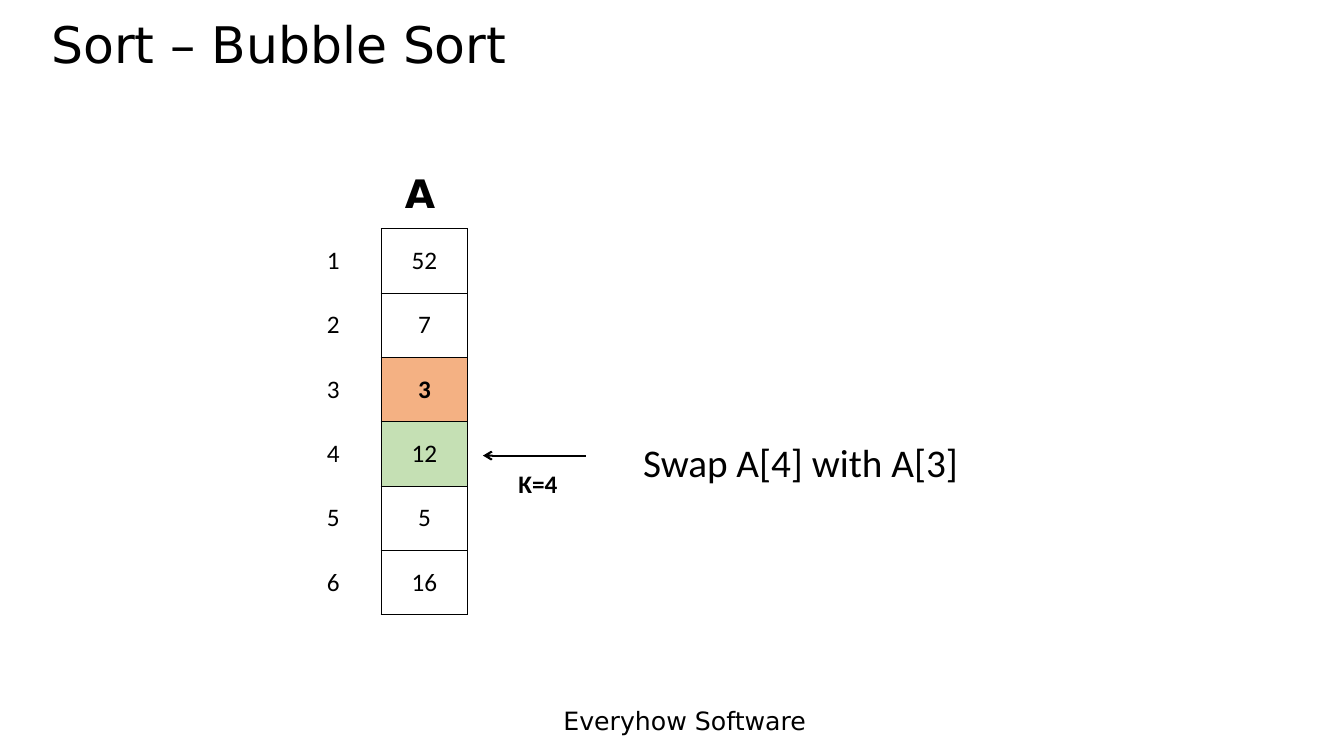
from dataclasses import dataclass

from lxml.etree import SubElement
from pptx import Presentation
from pptx.dml.color import RGBColor
from pptx.enum.shapes import MSO_CONNECTOR as Link
from pptx.enum.text import MSO_ANCHOR as Anchor, PP_ALIGN as Align
from pptx.oxml.ns import qn
from pptx.slide import Slide
from pptx.util import Inches, Pt

BLACK = RGBColor(0x00, 0x00, 0x00)
ORANGE = RGBColor(0xF4, 0xB1, 0x83)
GREEN = RGBColor(0xC5, 0xE0, 0xB4)
SANS = "DejaVu Sans"
BODY = "Calibri"
TOP = 2.27
HIGH = 3.83


@dataclass(frozen=True)
class Label:
    text: str
    left: float
    top: float
    width: float
    height: float
    size: int
    face: str
    bold: bool = False
    align: Align = Align.LEFT
    space: float = 1.0


@dataclass(frozen=True)
class Item:
    text: str
    fill: RGBColor | None = None
    bold: bool = False


@dataclass(frozen=True)
class Column:
    left: float
    width: float
    items: list[Item]
    lined: bool


LABELS = [
    Label("Everyhow Software", 5.49, 6.95, 2.9, 0.4, 18, SANS),
    Label("Κ=4", 4.79, 4.6, 1.09, 0.4, 18, BODY, True, Align.CENTER),
    Label("Swap A[4] with A[3]", 6.28, 4.3, 5.16, 1.04, 28, BODY),
    Label("Sort – Bubble Sort", 0.41, 0.15, 12.01, 0.95, 36, SANS, space=0.9),
    Label("A", 3.54, 1.63, 1.25, 0.57, 28, SANS, True, Align.CENTER),
]

VALUES = [
    Item("52"),
    Item("7"),
    Item("3", ORANGE, True),
    Item("12", GREEN),
    Item("5"),
    Item("16"),
]

COLUMNS = [
    Column(3.78, 0.86, VALUES, True),
    Column(3.07, 0.47, [Item(str(n + 1)) for n in range(len(VALUES))], False),
]


def style(para, size: int, face: str, bold: bool, align: Align) -> None:
    para.alignment = align
    for run in para.runs:
        font = run.font
        font.size = Pt(size)
        font.name = face
        font.bold = bold
        font.color.rgb = BLACK


def add_label(slide: Slide, label: Label) -> None:
    box = slide.shapes.add_textbox(
        Inches(label.left), Inches(label.top),
        Inches(label.width), Inches(label.height),
    )
    frame = box.text_frame
    frame.word_wrap = True
    frame.text = label.text
    para = frame.paragraphs[0]
    para.line_spacing = label.space
    style(para, label.size, label.face, label.bold, label.align)


def add_edges(cell, lined: bool) -> None:
    props = cell._tc.get_or_add_tcPr()
    for side in ("a:lnL", "a:lnR", "a:lnT", "a:lnB"):
        edge = SubElement(props, qn(side), w=str(Pt(1)))
        if lined:
            paint = SubElement(edge, qn("a:solidFill"))
            SubElement(paint, qn("a:srgbClr"), val=str(BLACK))
        else:
            SubElement(edge, qn("a:noFill"))


def add_column(slide: Slide, column: Column) -> None:
    table = slide.shapes.add_table(
        len(column.items), 1, Inches(column.left), Inches(TOP),
        Inches(column.width), Inches(HIGH),
    ).table
    table.first_row = False
    table.horz_banding = False
    for row, item in enumerate(column.items):
        cell = table.cell(row, 0)
        cell.vertical_anchor = Anchor.MIDDLE
        cell.text_frame.text = item.text
        style(cell.text_frame.paragraphs[0], 18, BODY, item.bold, Align.CENTER)
        add_edges(cell, column.lined)
        if item.fill is None:
            cell.fill.background()
        else:
            cell.fill.solid()
            cell.fill.fore_color.rgb = item.fill


def add_arrow(slide: Slide, start: float, end: float, y: float) -> None:
    arrow = slide.shapes.add_connector(
        Link.STRAIGHT, Inches(start), Inches(y), Inches(end), Inches(y)
    )
    arrow.line.color.rgb = BLACK
    arrow.line.width = Pt(1.5)
    SubElement(arrow.line._get_or_add_ln(), qn("a:tailEnd"), type="arrow")
    SubElement(arrow._element.spPr, qn("a:effectLst"))


def main() -> None:
    deck = Presentation()
    deck.slide_width = Inches(13.33)
    deck.slide_height = Inches(7.5)
    slide = deck.slides.add_slide(deck.slide_layouts[6])
    for column in COLUMNS:
        add_column(slide, column)
    add_arrow(slide, 5.81, 4.79, 4.52)
    for label in LABELS:
        add_label(slide, label)
    deck.save("out.pptx")


if __name__ == "__main__":
    main()
